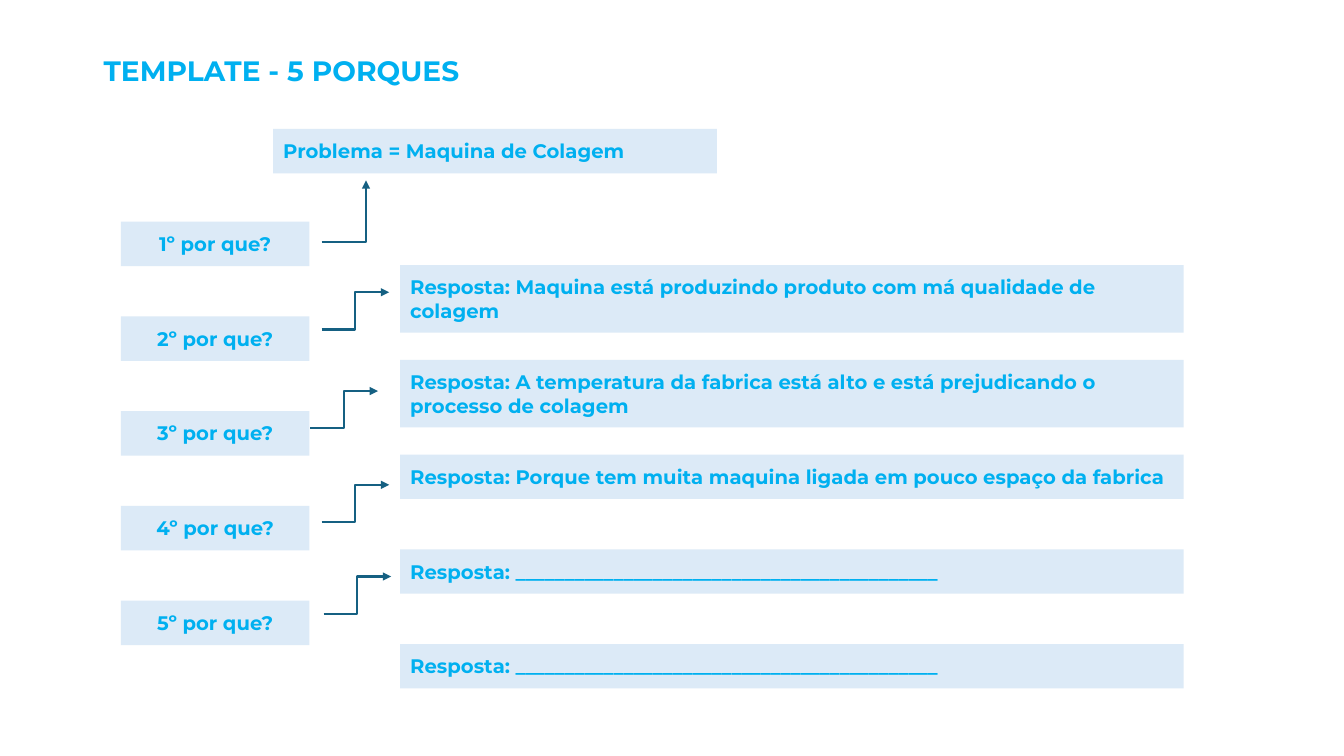
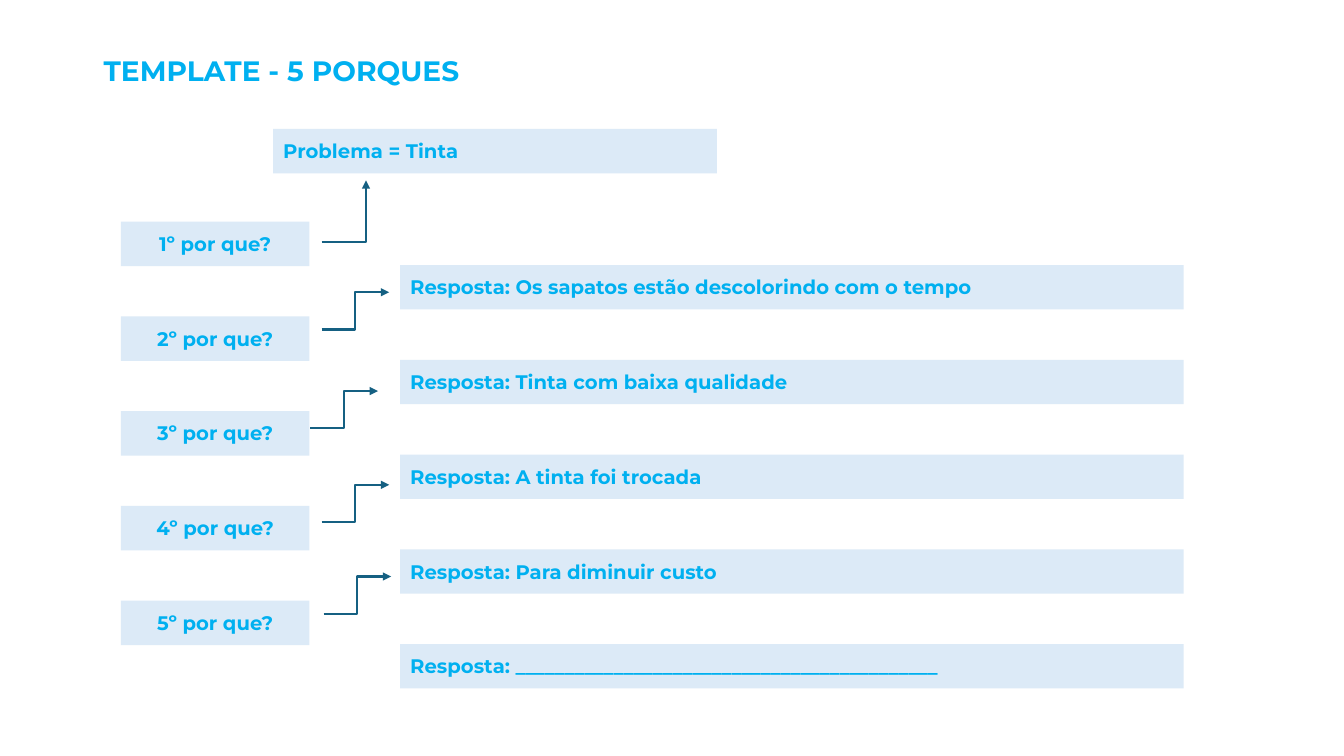
from lxml import etree
from pptx import Presentation
from pptx.dml.color import RGBColor as Rgb
from pptx.enum.shapes import MSO_CONNECTOR as Link, MSO_SHAPE as Form
from pptx.enum.text import MSO_ANCHOR as Anchor, MSO_AUTO_SIZE as Fit, PP_ALIGN as Align
from pptx.oxml.ns import qn
from pptx.util import Inches, Pt

# Shared style
HUES = {"text": "00B0F0", "box": "DCEAF7", "line": "156082"}
FONT = "Montserrat"
WIDE, HIGH = 13.33, 7.5

# Grid: one column of questions, one of answers, five equal rows
ASK_X, ASK_W = 1.2, 1.87
REPLY_X, REPLY_W = 3.97, 7.77
ASK_Y, REPLY_Y = 2.2, 2.63
ROW, BOX_H, LINE_H = 0.94, 0.44, 0.23
STEP_W, STEP_H = 0.67, 0.37
STEPS = [(3.19, 3.27), (3.08, 4.25), (3.19, 5.18), (3.21, 6.09)]

# Content: problem, then each answer with its count of lines
BLANK = "___________________________________________"
CASES = [
    ("Maquina de Colagem", [
        ("Maquina está produzindo produto com má qualidade de colagem", 2),
        ("A temperatura da fabrica está alto e está prejudicando o processo de colagem", 2),
        ("Porque tem muita maquina ligada em pouco espaço da fabrica", 1),
        (BLANK, 1),
        (BLANK, 1),
    ]),
    ("Tinta", [
        ("Os sapatos estão descolorindo com o tempo", 1),
        ("Tinta com baixa qualidade", 1),
        ("A tinta foi trocada", 1),
        ("Para diminuir custo", 1),
        (BLANK, 1),
    ]),
]


def write(shape, text, size, align=Align.LEFT):
    frame = shape.text_frame
    frame.word_wrap = True
    frame.auto_size = Fit.SHAPE_TO_FIT_TEXT
    frame.vertical_anchor = Anchor.TOP
    frame.margin_left = frame.margin_right = Inches(0.1)
    frame.margin_top = frame.margin_bottom = Inches(0.1)
    para = frame.paragraphs[0]
    para.alignment = align
    run = para.add_run()
    run.text = text
    run.font.name = FONT
    run.font.size = Pt(size)
    run.font.bold = True
    run.font.color.rgb = Rgb.from_string(HUES["text"])


def add_title(slide, text):
    area = map(Inches, (0.93, 0.43, 11.24, 0.54))
    write(slide.shapes.add_textbox(*area), text, 20)


def add_box(slide, text, left, top, width, lines=1, align=Align.LEFT):
    area = map(Inches, (left, top, width, BOX_H + LINE_H * (lines - 1)))
    box = slide.shapes.add_shape(Form.RECTANGLE, *area)
    box.shadow.inherit = False
    box.fill.solid()
    box.fill.fore_color.rgb = Rgb.from_string(HUES["box"])
    box.line.fill.background()
    write(box, text, 14, align)


def add_arrow(slide, start, end, bend="bentConnector3"):
    link = slide.shapes.add_connector(Link.ELBOW, *map(Inches, start + end))
    link.line.width = Pt(1.5)
    link.line.color.rgb = Rgb.from_string(HUES["line"])
    props = link._element.spPr
    props.find(qn("a:prstGeom")).set("prst", bend)
    etree.SubElement(props.find(qn("a:ln")), qn("a:tailEnd")).set("type", "triangle")
    etree.SubElement(props, qn("a:effectLst"))


def add_case(deck, topic, replies):
    slide = deck.slides.add_slide(deck.slide_layouts[6])
    add_title(slide, "TEMPLATE - 5 PORQUES")
    add_box(slide, f"Problema = {topic}", 2.71, 1.28, 4.4)

    # Questions and answers
    for row, (reply, lines) in enumerate(replies):
        add_box(slide, f"{row + 1}º por que?", ASK_X, ASK_Y + ROW * row, ASK_W,
                align=Align.CENTER)
        add_box(slide, f"Resposta: {reply}", REPLY_X, REPLY_Y + ROW * row, REPLY_W, lines)

    # Arrows: the first goes up to the problem, the rest to the answers
    add_arrow(slide, (3.19, 2.4), (3.63, 1.79), "bentConnector2")
    for left, low in STEPS:
        add_arrow(slide, (left, low), (left + STEP_W, low - STEP_H))


def main():
    deck = Presentation()
    deck.slide_width, deck.slide_height = Inches(WIDE), Inches(HIGH)
    for topic, replies in CASES:
        add_case(deck, topic, replies)
    deck.save("out.pptx")


if __name__ == "__main__":
    main()
